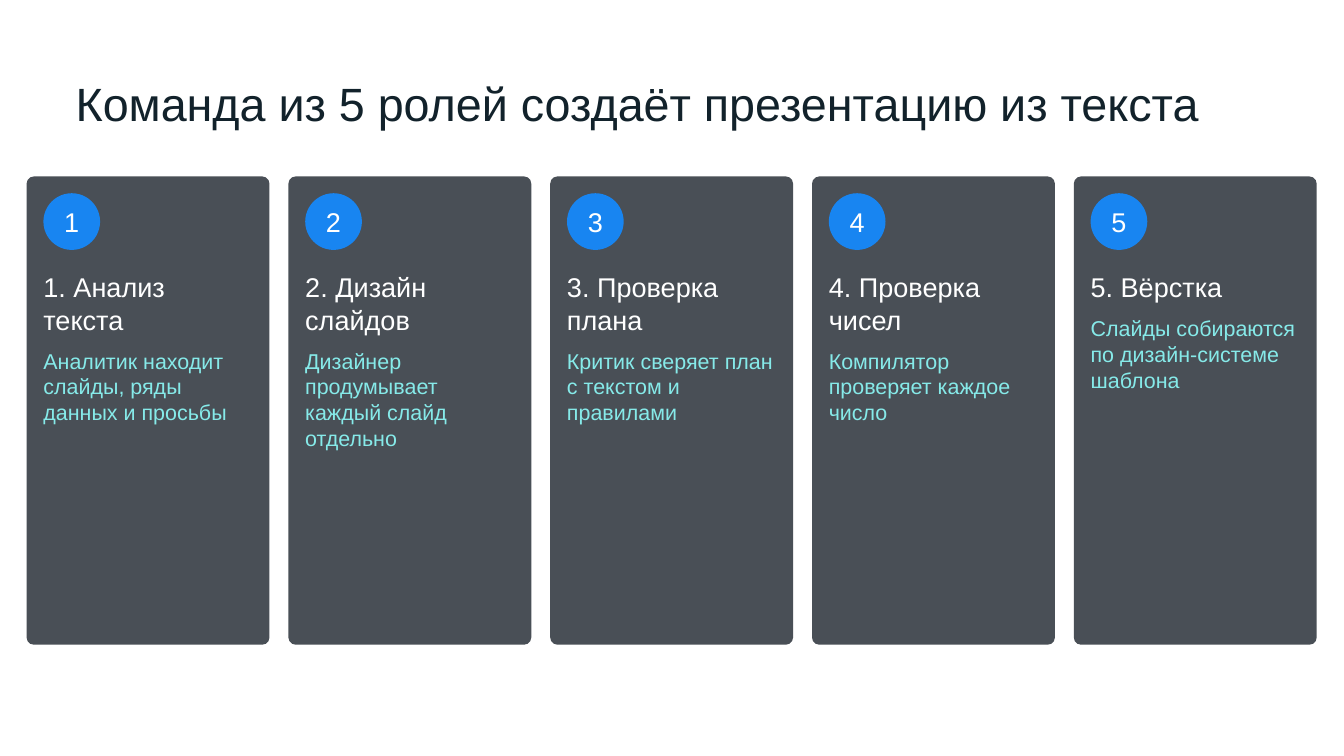
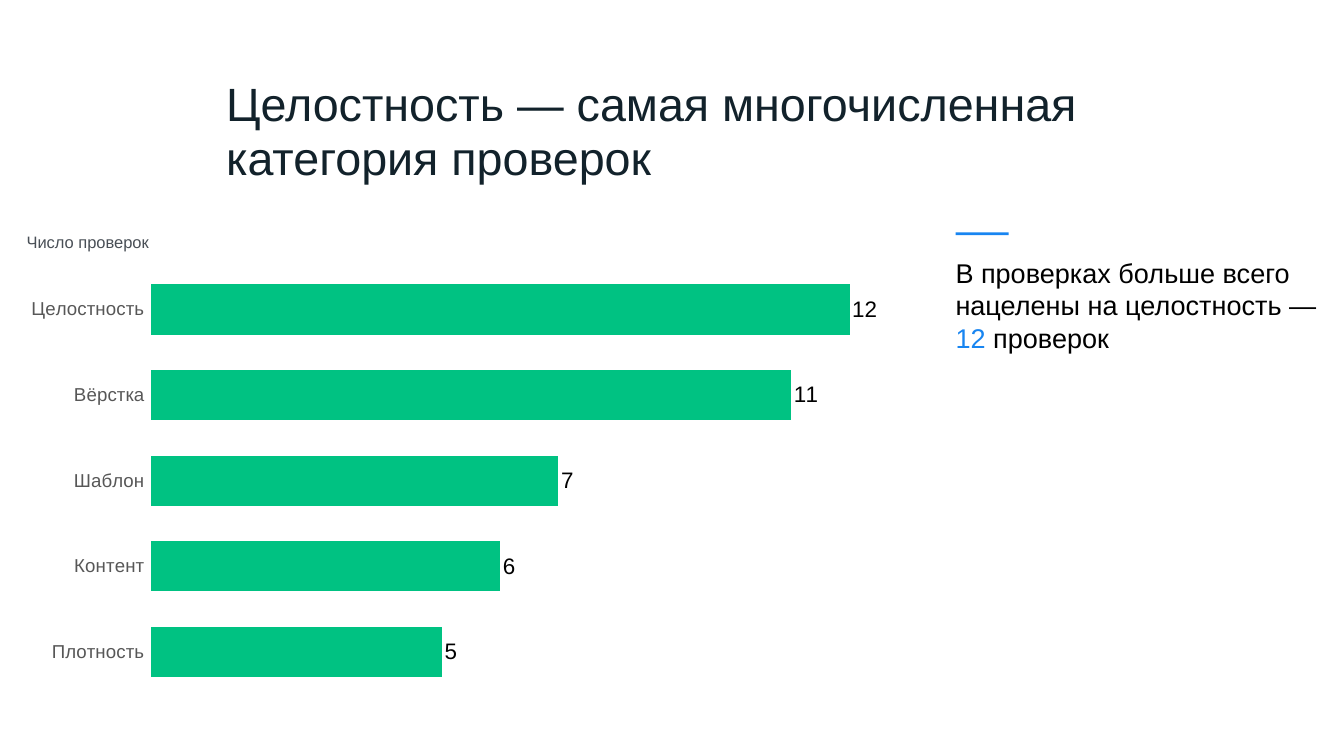
from dataclasses import dataclass
from typing import Any

from lxml.etree import SubElement
from pptx import Presentation
from pptx.chart.data import CategoryChartData
from pptx.dml.color import RGBColor
from pptx.enum.chart import XL_CHART_TYPE, XL_LABEL_POSITION, XL_TICK_LABEL_POSITION, XL_TICK_MARK
from pptx.enum.shapes import MSO_SHAPE
from pptx.enum.text import MSO_ANCHOR, MSO_AUTO_SIZE, PP_ALIGN
from pptx.oxml.ns import qn
from pptx.shapes.autoshape import Shape
from pptx.slide import Slide
from pptx.text.text import Font, TextFrame
from pptx.util import Emu, Pt

EMU_PER_PX = 9525
FONT = "Arial"
INK = RGBColor(0x12, 0x22, 0x2B)
SLATE = RGBColor(0x49, 0x4F, 0x56)
GREY = RGBColor(0x57, 0x57, 0x57)
BLUE = RGBColor(0x18, 0x85, 0xF1)
AQUA = RGBColor(0x86, 0xEA, 0xE9)
GREEN = RGBColor(0x00, 0xC2, 0x82)
WHITE = RGBColor(0xFF, 0xFF, 0xFF)
BLACK = RGBColor(0x00, 0x00, 0x00)


@dataclass(frozen=True)
class Box:
    """Place and size in px."""
    left: int
    top: int
    width: int
    height: int

    def emu(self) -> tuple[Emu, ...]:
        return tuple(Emu(px * EMU_PER_PX) for px in (self.left, self.top, self.width, self.height))


@dataclass(frozen=True)
class Style:
    size: float
    color: RGBColor


@dataclass(frozen=True)
class Role:
    heading: str
    task: str


TITLE = Style(50, INK)
HEADING = Style(29, WHITE)
TASK = Style(23, AQUA)
CAPTION = Style(17.7, SLATE)
NOTE = Style(29, BLACK)
NOTE_ACCENT = Style(29, BLUE)
CATEGORY = Style(20, GREY)
CHART_TEXT = Style(20, BLACK)
VALUE = Style(24, BLACK)

MARGIN = 38
FIRST_CARD = Box(MARGIN, 252, 347, 669)
CARD_PITCH = 374
CARD_INSET = 24
BADGE_SIZE = 81
ROLE_TEXT_TOP = 387

ROLES = (
    Role("Анализ текста", "Аналитик находит слайды, ряды данных и просьбы"),
    Role("Дизайн слайдов", "Дизайнер продумывает каждый слайд отдельно"),
    Role("Проверка плана", "Критик сверяет план с текстом и правилами"),
    Role("Проверка чисел", "Компилятор проверяет каждое число"),
    Role("Вёрстка", "Слайды собираются по дизайн-системе шаблона"),
)
CHECKS = {"Целостность": 12, "Вёрстка": 11, "Шаблон": 7, "Контент": 6, "Плотность": 5}
CHECKS_CAPTION = "Число проверок"
PLOT_LAYOUT = {
    "layoutTarget": "inner", "xMode": "edge", "yMode": "edge",
    "x": "0.144", "y": "0.013", "w": "0.808", "h": "0.975",
}
FRAME_FORMAT = {
    "margin_left": 0, "margin_top": 0, "margin_right": 0, "margin_bottom": 0,
    "word_wrap": True, "vertical_anchor": MSO_ANCHOR.TOP, "auto_size": MSO_AUTO_SIZE.NONE,
}


def assign(target: Any, values: dict[str, Any]) -> None:
    for name, value in values.items():
        setattr(target, name, value)


def apply_style(font: Font, style: Style) -> None:
    assign(font, {"name": FONT, "size": Pt(style.size), "bold": False})
    font.color.rgb = style.color


def write(frame: TextFrame, *paragraphs: list[tuple[str, Style]], **overrides: Any) -> None:
    """Fill the frame; each paragraph is a list of (text, style) runs."""
    assign(frame, FRAME_FORMAT | overrides)
    for index, runs in enumerate(paragraphs):
        paragraph = frame.add_paragraph() if index else frame.paragraphs[0]
        for text, style in runs:
            run = paragraph.add_run()
            run.text = text
            apply_style(run.font, style)


def add_titled_slide(deck: Any, text: str, box: Box) -> Slide:
    slide = deck.slides.add_slide(deck.slide_layouts[5])
    title = slide.shapes.title
    assign(title, dict(zip(("left", "top", "width", "height"), box.emu())))
    write(title.text_frame, [(text, TITLE)], auto_size=MSO_AUTO_SIZE.SHAPE_TO_FIT_TEXT)
    assign(title.text_frame.paragraphs[0],
           {"alignment": PP_ALIGN.LEFT, "line_spacing": Pt(58), "space_before": Pt(0)})
    return slide


def add_filled(slide: Slide, kind: MSO_SHAPE, box: Box, color: RGBColor) -> Shape:
    shape = slide.shapes.add_shape(kind, *box.emu())
    shape.shadow.inherit = False
    shape.fill.solid()
    shape.fill.fore_color.rgb = color
    shape.line.fill.background()
    return shape


def add_text(slide: Slide, box: Box, *paragraphs: list[tuple[str, Style]]) -> TextFrame:
    frame = slide.shapes.add_textbox(*box.emu()).text_frame
    write(frame, *paragraphs)
    return frame


def add_role_card(slide: Slide, number: int, role: Role) -> None:
    left = FIRST_CARD.left + (number - 1) * CARD_PITCH
    inner_left = left + CARD_INSET
    card = add_filled(slide, MSO_SHAPE.ROUNDED_RECTANGLE,
                      Box(left, FIRST_CARD.top, FIRST_CARD.width, FIRST_CARD.height), SLATE)
    card.adjustments[0] = 0.03

    badge = add_filled(slide, MSO_SHAPE.OVAL,
                       Box(inner_left, FIRST_CARD.top + CARD_INSET, BADGE_SIZE, BADGE_SIZE), BLUE)
    write(badge.text_frame, [(str(number), HEADING)],
          word_wrap=False, vertical_anchor=MSO_ANCHOR.MIDDLE)
    badge.text_frame.paragraphs[0].alignment = PP_ALIGN.CENTER

    text_box = Box(inner_left, ROLE_TEXT_TOP, FIRST_CARD.width - 2 * CARD_INSET - 1,
                   FIRST_CARD.top + FIRST_CARD.height - CARD_INSET - ROLE_TEXT_TOP)
    frame = add_text(slide, text_box, [(f"{number}. {role.heading}", HEADING)], [(role.task, TASK)])
    frame.paragraphs[0].space_after = Pt(12.7)


def set_plot_layout(chart: Any) -> None:
    plot_area = chart.element.find(f".//{qn('c:plotArea')}")
    for existing in plot_area.findall(qn("c:layout")):
        plot_area.remove(existing)
    layout = SubElement(plot_area, qn("c:layout"))
    plot_area.insert(0, layout)
    manual = SubElement(layout, qn("c:manualLayout"))
    for name, value in PLOT_LAYOUT.items():
        SubElement(manual, qn(f"c:{name}")).set("val", value)


def add_checks_chart(slide: Slide, box: Box) -> None:
    data = CategoryChartData()
    data.categories = list(CHECKS)
    data.add_series(CHECKS_CAPTION, list(CHECKS.values()))
    chart = slide.shapes.add_chart(XL_CHART_TYPE.BAR_CLUSTERED, *box.emu(), data).chart
    assign(chart, {"has_legend": False, "has_title": False})
    apply_style(chart.font, CHART_TEXT)
    set_plot_layout(chart)

    assign(chart.category_axis, {
        "reverse_order": True, "has_major_gridlines": False,
        "major_tick_mark": XL_TICK_MARK.NONE, "minor_tick_mark": XL_TICK_MARK.NONE,
        "tick_label_position": XL_TICK_LABEL_POSITION.LOW,
    })
    chart.category_axis.format.line.fill.background()
    apply_style(chart.category_axis.tick_labels.font, CATEGORY)
    assign(chart.value_axis, {
        "visible": False, "has_major_gridlines": False,
        "minimum_scale": 0, "maximum_scale": max(CHECKS.values()),
    })

    bars = chart.plots[0]
    assign(bars, {"gap_width": 70, "vary_by_categories": False})
    series = bars.series[0]
    series.invert_if_negative = False
    series.format.fill.solid()
    series.format.fill.fore_color.rgb = GREEN
    assign(series.data_labels, {
        "show_value": True, "position": XL_LABEL_POSITION.OUTSIDE_END,
        "number_format": '#,##0;"−"#,##0;', "number_format_is_linked": False,
    })
    apply_style(series.data_labels.font, VALUE)


def build_roles_slide(deck: Any) -> None:
    slide = add_titled_slide(deck, "Команда из 5 ролей создаёт презентацию из текста",
                             Box(108, 109, 1651, 89))
    for number, role in enumerate(ROLES, start=1):
        add_role_card(slide, number, role)


def build_checks_slide(deck: Any) -> None:
    slide = add_titled_slide(deck, "Целостность — самая многочисленная категория проверок",
                             Box(323, 109, 1223, 170))
    add_text(slide, Box(MARGIN, 332, 1235, 31), [(CHECKS_CAPTION, CAPTION)])
    add_checks_chart(slide, Box(MARGIN, 373, 1235, 627))
    add_filled(slide, MSO_SHAPE.RECTANGLE, Box(1365, 332, 76, 4), BLUE)
    add_text(slide, Box(1365, 366, 517, 142), [
        ("В проверках больше всего нацелены на целостность — ", NOTE),
        ("12 ", NOTE_ACCENT),
        ("проверок", NOTE),
    ])


def main() -> None:
    deck = Presentation()
    assign(deck, {"slide_width": Emu(1920 * EMU_PER_PX), "slide_height": Emu(1080 * EMU_PER_PX)})
    build_roles_slide(deck)
    build_checks_slide(deck)
    deck.save("out.pptx")


if __name__ == "__main__":
    main()
